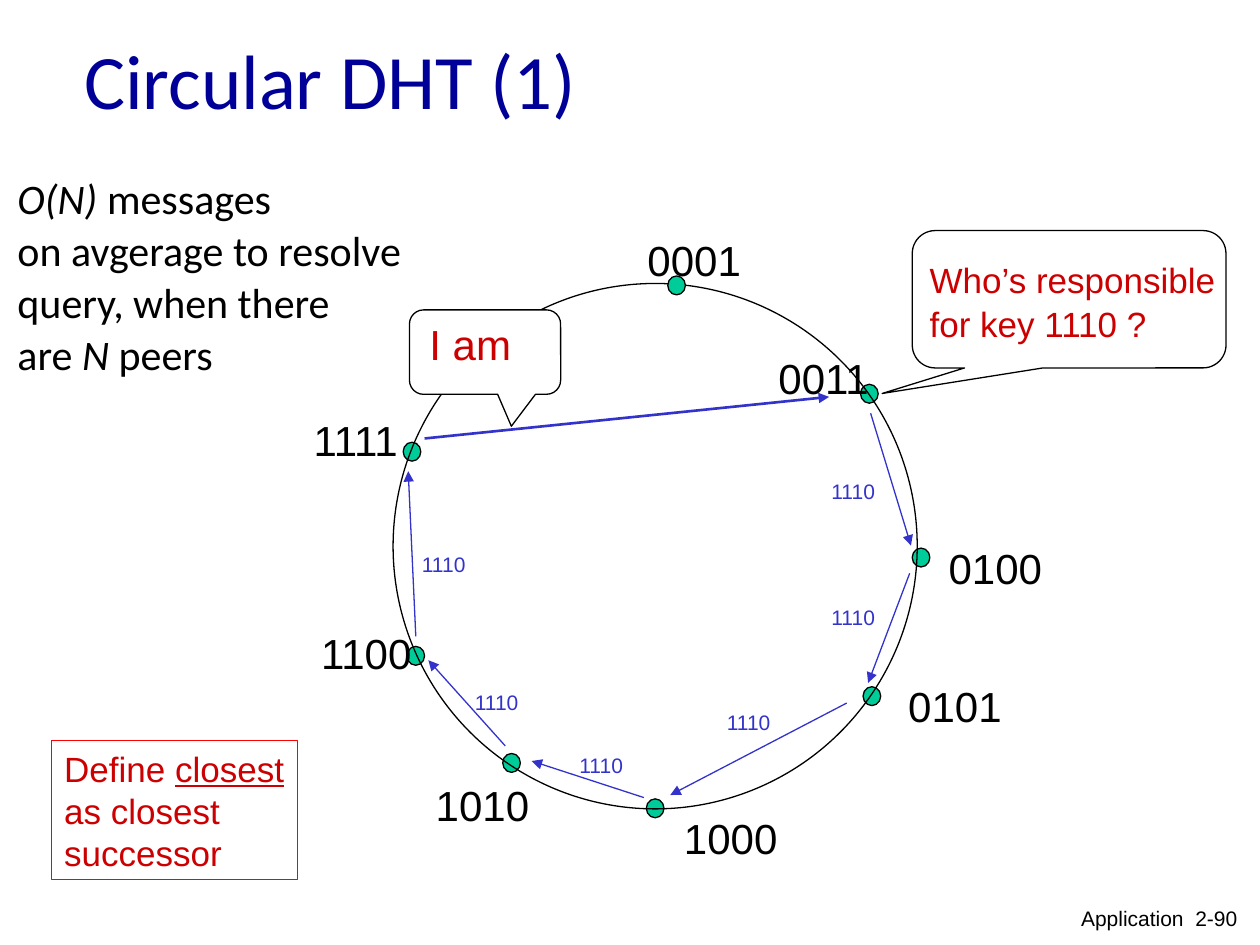
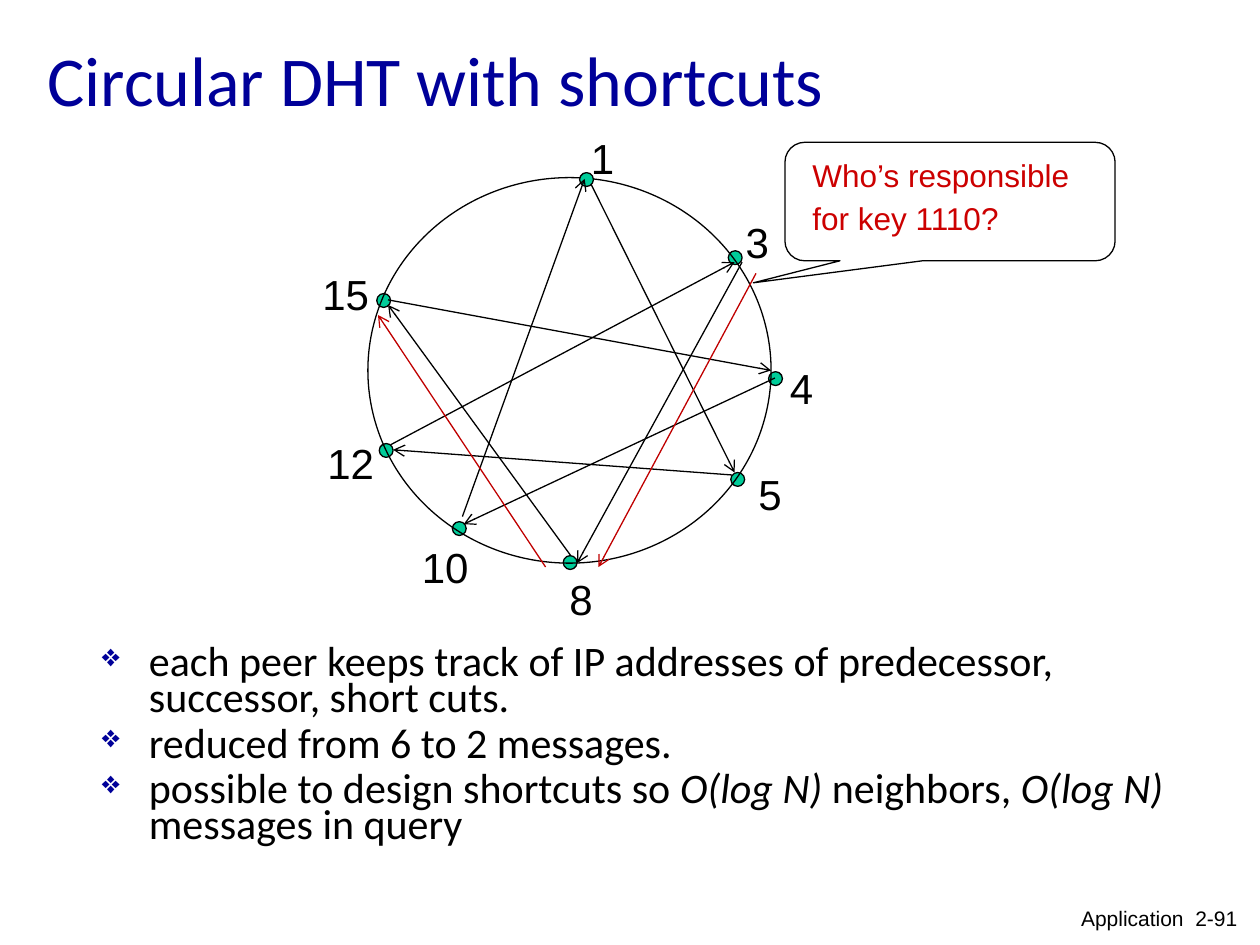
from dataclasses import dataclass

from lxml.etree import SubElement
from pptx import Presentation
from pptx.dml.color import RGBColor as RGB
from pptx.enum.shapes import MSO_CONNECTOR as LINK, MSO_SHAPE as FORM
from pptx.enum.text import MSO_ANCHOR as ANCHOR, MSO_AUTO_SIZE as FIT, PP_ALIGN as ALIGN
from pptx.oxml.ns import qn
from pptx.util import Cm, Pt


@dataclass(frozen=True)
class Theme:
    """Colours, fonts and type sizes that the slides share."""
    ink: str = "000000"
    navy: str = "000099"
    blue: str = "3333CC"
    red: str = "CC0000"
    dark: str = "C00000"
    frame: str = "FF0000"
    green: str = "00CC99"
    white: str = "FFFFFF"
    sans: str = "Arial"
    head: str = "Calibri"
    big: int = 24
    mid: int = 20
    note: int = 18
    small: int = 12
    thin: float = 0.74
    bold: float = 1.5


T = Theme()
UNIT = 2.54  # cm in one step of the 10 by 7.5 layout grid

# label, dot left and top, label left and top
PEERS = [
    ("0001", 5.3, 2.19, 5.04, 1.81),
    ("0011", 6.83, 3.05, 6.08, 2.75),
    ("0100", 7.24, 4.35, 7.43, 4.26),
    ("0101", 6.85, 5.45, 7.11, 5.35),
    ("1000", 5.13, 6.34, 5.33, 6.4),
    ("1010", 3.99, 5.98, 3.36, 6.14),
    ("1100", 3.23, 5.13, 2.45, 4.93),
    ("1111", 3.2, 3.51, 2.39, 3.24),
]
SHORT = [
    ("1", 4.6, 1.37, 4.59, 1),
    ("3", 5.78, 1.99, 5.82, 1.67),
    ("4", 6.1, 2.95, 6.17, 2.83),
    ("5", 5.8, 3.75, 5.92, 3.67),
    ("8", 4.47, 4.41, 4.42, 4.5),
    ("10", 3.59, 4.14, 3.25, 4.25),
    ("12", 3.01, 3.52, 2.5, 3.42),
    ("15", 2.99, 2.33, 2.46, 2.08),
]
# start, end, place of the key beside the arrow
HOPS = [
    ((6.91, 3.28), (7.23, 4.33), (6.5, 3.75)),
    ((7.22, 4.55), (6.89, 5.42), (6.5, 4.75)),
    ((6.72, 5.58), (5.32, 6.31), (5.67, 5.58)),
    ((5.11, 6.33), (4.22, 6.04), (4.5, 5.92)),
    ((4.01, 5.92), (3.4, 5.24), (3.67, 5.42)),
    ((3.3, 5.05), (3.24, 3.74), (3.25, 4.33)),
]
CHORDS = [
    ((6.15, 3), (3.68, 4.16)),
    ((5.81, 3.77), (3.12, 3.57)),
    ((4.53, 4.41), (3.08, 2.42)),
    ((3.67, 4.1), (4.64, 1.42)),
    ((3.1, 3.53), (5.83, 2.08)),
    ((3.08, 2.38), (6.12, 2.94)),
    ((4.69, 1.46), (5.83, 3.75)),
    ((5.89, 2.08), (4.58, 4.47)),
]
QUERY = [((6, 2.17), (4.75, 4.5)), ((4.33, 4.5), (3, 2.5))]


def grid(*steps):
    """Turn grid steps into lengths."""
    return [Cm(step * UNIT) for step in steps]


def write(shape, paras, size, color=T.ink, font=T.sans, wrap=False,
          gap=None, pitch=None, fit=FIT.SHAPE_TO_FIT_TEXT):
    """Fill a shape with paragraphs, each a list of (text, style) runs."""
    frame = shape.text_frame
    frame.word_wrap = wrap
    frame.auto_size = fit
    for num, runs in enumerate(paras):
        para = frame.paragraphs[0] if num == 0 else frame.add_paragraph()
        para.alignment = ALIGN.LEFT
        if gap is not None:
            para.space_before = Pt(gap)
        if pitch is not None:
            para.line_spacing = pitch
        for text, style in runs:
            for row, part in enumerate(text.split("\n")):
                if row:
                    para.add_line_break()
                run = para.add_run()
                run.text = part
                run.font.name = font
                run.font.size = Pt(size)
                run.font.color.rgb = RGB.from_string(color)
                if style:
                    run.font.italic = style == "i"
                    run.font.underline = style == "u"
    return frame


def text(pen, box, paras, size, **look):
    """Add a text box."""
    return write(pen.add_textbox(*grid(*box)), paras, size, **look)


def label(pen, word, left, top, size=T.big, color=T.ink):
    """Add a short number in a box that fits its digits."""
    box = left, top, 0.2 + len(word) * size * 0.556 / 72, 0.1 + size / 60
    text(pen, box, [[(word, "")]], size, color=color, gap=size / 4)


def shape(pen, form, box, fill=None, line=T.ink):
    """Add an outlined shape, hollow unless a fill is given."""
    item = pen.add_shape(form, *grid(*box))
    item.shadow.inherit = False
    if fill:
        item.fill.solid()
        item.fill.fore_color.rgb = RGB.from_string(fill)
    else:
        item.fill.background()
    item.line.color.rgb = RGB.from_string(line)
    item.line.width = Pt(T.thin)
    return item


def bubble(pen, box, tip, fill=None):
    """Add a rounded speech bubble whose tail ends at tip."""
    item = shape(pen, FORM.ROUNDED_RECTANGULAR_CALLOUT, box, fill)
    for num, value in enumerate((*tip, 0.167)):
        item.adjustments[num] = value


def arrow(pen, start, end, color=T.ink, head="arrow", width=T.thin):
    """Add a straight arrow from start to end."""
    link = pen.add_connector(LINK.STRAIGHT, *grid(*start, *end))
    link.line.color.rgb = RGB.from_string(color)
    link.line.width = Pt(width)
    SubElement(link.line._get_or_add_ln(), qn("a:tailEnd"), type=head)
    SubElement(link._element.spPr, qn("a:effectLst"))


def ring(pen, peers, box, wide, high):
    """Add a circle of peers; the first peer lies above the line."""
    dots = [(left, top, wide, high) for _, left, top, _, _ in peers]
    for dot in dots[1:]:
        shape(pen, FORM.OVAL, dot, T.green)
    shape(pen, FORM.OVAL, box)
    shape(pen, FORM.OVAL, dots[0], T.green)
    for word, _, _, left, top in peers:
        label(pen, word, left, top)


def bullet(para):
    """Give a paragraph a hanging diamond bullet."""
    props = para._p.get_or_add_pPr()
    indent = Cm(0.95)
    props.set("marL", str(indent))
    props.set("indent", str(-indent))
    tint = SubElement(props, qn("a:buClr"))
    SubElement(tint, qn("a:srgbClr"), val=T.navy)
    SubElement(props, qn("a:buSzPct"), val="75000")
    SubElement(props, qn("a:buChar"), char="❖")


def start(deck, title, left, width, size, page):
    """Add a slide with its title and footer."""
    slide = deck.slides.add_slide(deck.slide_layouts[6])
    pen = slide.shapes
    frame = text(pen, (left, 0, width, 1.25), [[(title, "")]], size,
                 color=T.navy, font=T.head, wrap=True, fit=FIT.NONE)
    frame.vertical_anchor = ANCHOR.MIDDLE
    frame = text(pen, (8.33, 7.14, 1.59, 0.31),
                 [[(f"Application  2-{page}", "")]], T.small,
                 wrap=True, fit=FIT.NONE)
    frame.paragraphs[0].alignment = ALIGN.RIGHT
    return pen


def lookup(deck):
    """Build the slide on a query that walks round the circle."""
    pen = start(deck, "Circular DHT (1)", 0.57, 8.5, 44, 90)
    ring(pen, PEERS, (3.12, 2.25, 4.16, 4.17), 0.14, 0.15)

    ask = pen.add_group_shape().shapes
    bubble(ask, (7.24, 1.83, 2.49, 1.09), (-0.596, 0.686))
    text(ask, (7.28, 2.06, 2.47, 0.73),
         [[("Who’s responsible", "")], [("for key 1110 ?", "")]],
         T.mid, color=T.red, gap=5, pitch=Pt(20))

    for tail, head, (left, top) in HOPS:
        arrow(pen, tail, head, T.blue, "triangle")
        label(pen, "1110", left, top, T.small, T.blue)

    reply = pen.add_group_shape().shapes
    arrow(reply, (3.37, 3.48), (6.58, 3.15), T.blue, "triangle", T.bold)
    bubble(reply, (3.25, 2.46, 1.2, 0.67), (0.174, 0.878), T.white)
    text(reply, (3.31, 2.48, 1.42, 0.5), [[("I am", "")]], T.big,
         color=T.red, wrap=True, gap=6)

    text(pen, (0.04, 1.39, 3.78, 1.67), [
        [("O(N) ", "i"), ("messages", "")],
        [("on avgerage to resolve", "")],
        [("query, when there", "")],
        [("are ", ""), ("N", "i"), (" peers", "")],
    ], T.big, font=T.head, gap=6, pitch=Pt(23.7))

    rule = shape(pen, FORM.RECTANGLE, (0.41, 5.88, 1.95, 1.1), line=T.frame)
    write(rule, [[("Define ", ""), ("closest", "u"),
                  ("\nas closest\nsuccessor", "")]],
          T.mid, color=T.red, gap=5)


def shortcut(deck):
    """Build the slide on shortcuts across the circle."""
    pen = start(deck, "Circular DHT with shortcuts", 0.28, 9, 40, 91)
    frame = text(pen, (0.71, 5.1, 9, 1.83), [
        [("each peer keeps track of IP addresses of predecessor, "
          "successor, short cuts.", "")],
        [("reduced from 6 to 2 messages.", "")],
        [("possible to design shortcuts so ", ""), ("O(log N) ", "i"),
         ("neighbors, ", ""), ("O(log N) ", "i"), ("messages in query", "")],
    ], T.big, font=T.head, wrap=True, gap=6, pitch=0.7, fit=FIT.NONE)
    for para in frame.paragraphs:
        bullet(para)

    web = pen.add_group_shape().shapes
    ring(web, SHORT, (2.92, 1.41, 3.2, 3.06), 0.11, 0.11)
    for tail, head in CHORDS:
        arrow(web, tail, head)
    for tail, head in QUERY:
        arrow(pen, tail, head, T.dark)

    ask = pen.add_group_shape().shapes
    bubble(ask, (6.23, 1.13, 2.62, 0.94), (-0.596, 0.686))
    text(ask, (6.35, 1.21, 2.6, 0.72),
         [[("Who’s responsible", "")], [("for key 1110?", "")]],
         T.note, color=T.red, wrap=True, gap=4.5, pitch=Pt(20))


def main():
    """Build and save the deck."""
    deck = Presentation()
    deck.slide_width, deck.slide_height = grid(10, 7.5)
    lookup(deck)
    shortcut(deck)
    deck.save("out.pptx")


main()
